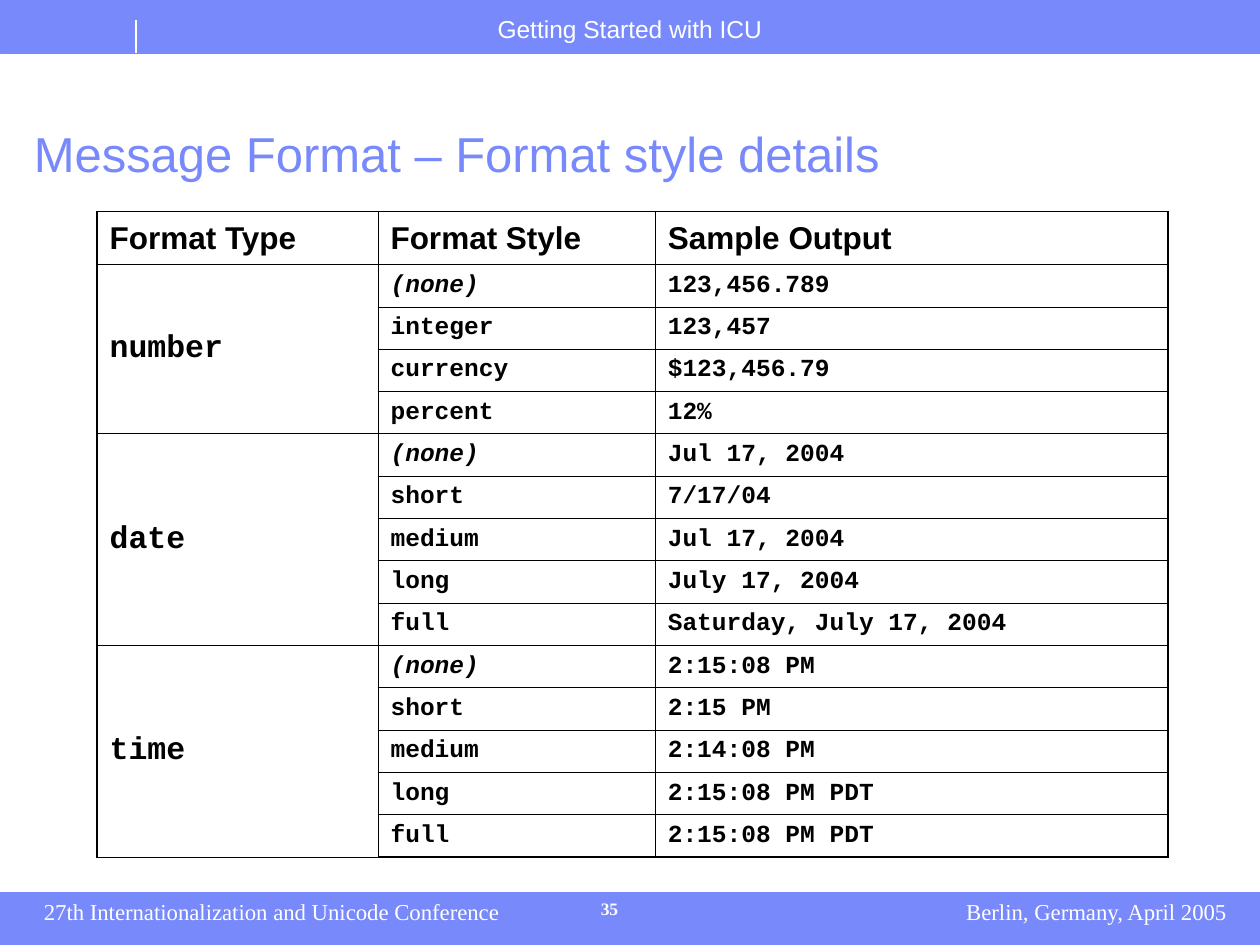
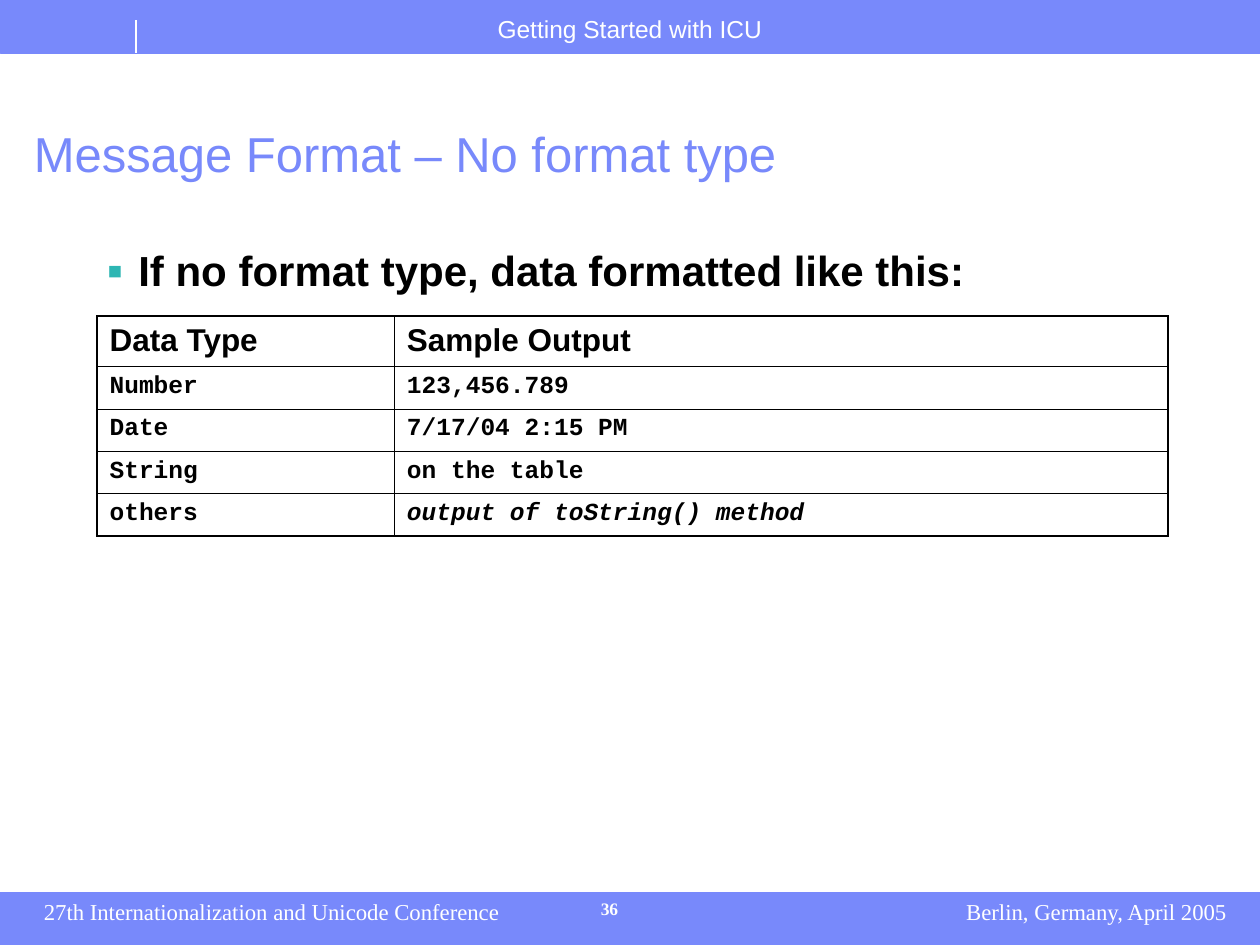
from lxml import etree
from pptx import Presentation, util as u
from pptx.dml.color import RGBColor
from pptx.enum import shapes, text
from pptx.oxml.ns import qn

# Shared style
COLORS = {"band": "7889FB", "title": "7889FB", "light": "FFFFFF",
          "ink": "000000", "bullet": "2DB6B3"}
SANS, SERIF, MONO = "Arial", "Times New Roman", "Courier New"
GRID_COLS, GRID_ROWS = 100, 75
BAND = 4.2
BODY_ROW = 3.36
OUTER, INNER = 0.96, 0.45
LEFT, CENTER, RIGHT = text.PP_ALIGN.LEFT, text.PP_ALIGN.CENTER, text.PP_ALIGN.RIGHT
TOP, MIDDLE, BOTTOM = (text.MSO_ANCHOR.TOP, text.MSO_ANCHOR.MIDDLE,
                       text.MSO_ANCHOR.BOTTOM)


def rgb(name):
    return RGBColor.from_string(COLORS[name])


def write(tf, content, size=14, font=SANS, color="ink", bold=False, italic=False,
          align=LEFT, spacing=None, bullet=None):
    """Put one formatted paragraph into a text frame."""
    p = tf.paragraphs[0]
    if bullet:
        add_bullet(p, bullet)
    p.alignment = align
    if spacing:
        p.line_spacing = spacing
    r = p.add_run()
    r.text = content
    f = r.font
    f.name, f.size, f.bold, f.italic = font, u.Pt(size), bold, italic
    f.color.rgb = rgb(color)


def add_bullet(p, char):
    pPr = p._p.get_or_add_pPr()
    indent = u.Inches(0.25)
    pPr.set("marL", str(indent))
    pPr.set("indent", str(-indent))
    clr = etree.SubElement(pPr, qn("a:buClr"))
    etree.SubElement(clr, qn("a:srgbClr"), val=COLORS["bullet"])
    etree.SubElement(pPr, qn("a:buSzPct"), val="110000")
    etree.SubElement(pPr, qn("a:buFont"), typeface=SANS)
    etree.SubElement(pPr, qn("a:buChar"), char=char)


def set_borders(cell, widths):
    """Draw cell borders; widths maps L, R, T, B (in that order) to points."""
    tcPr = cell._tc.get_or_add_tcPr()
    for side, width in widths.items():
        ln = etree.SubElement(tcPr, qn(f"a:ln{side}"), w=str(u.Pt(width)))
        fill = etree.SubElement(ln, qn("a:solidFill"))
        etree.SubElement(fill, qn("a:srgbClr"), val=COLORS["ink"])


class Deck:
    def __init__(self):
        self.prs = Presentation()
        self.prs.slide_width, self.prs.slide_height = u.Inches(10), u.Inches(7.5)
        self.s = None

    def x(self, cols):
        return round(self.prs.slide_width * cols / GRID_COLS)

    def y(self, rows):
        return round(self.prs.slide_height * rows / GRID_ROWS)

    def box(self, left, top, width, height):
        return self.x(left), self.y(top), self.x(width), self.y(height)

    def band(self, top):
        sp = self.s.shapes.add_shape(shapes.MSO_SHAPE.RECTANGLE,
                                     *self.box(0, top, GRID_COLS, BAND))
        sp.shadow.inherit = False
        sp.fill.solid()
        sp.fill.fore_color.rgb = sp.line.color.rgb = rgb("band")
        sp.line.width = u.Pt(0.25)

    def line(self, x1, y1, x2, y2):
        sp = self.s.shapes.add_connector(shapes.MSO_CONNECTOR.STRAIGHT, self.x(x1),
                                         self.y(y1), self.x(x2), self.y(y2))
        sp.line.color.rgb = rgb("light")
        sp.line.width = u.Pt(0.75)
        etree.SubElement(sp._element.spPr, qn("a:effectLst"))

    def text(self, content, at, anchor=TOP, wrap=True, **fmt):
        tf = self.s.shapes.add_textbox(*self.box(*at)).text_frame
        tf.word_wrap, tf.vertical_anchor = wrap, anchor
        write(tf, content, **fmt)

    def slide(self, title, number):
        """Start a slide with its bands, title and footer."""
        self.s = self.prs.slides.add_slide(self.prs.slide_layouts[6])
        foot = GRID_ROWS - BAND
        self.band(foot)
        self.band(0)
        self.text("Getting Started with ICU", (38.5, 0.6, 23, 3.4), wrap=False,
                  color="light", align=CENTER)
        self.line(10.8, 1.6, 10.8, BAND)
        self.text(title, (1.7, 9.5, 90.2, 5.5), anchor=BOTTOM, size=28,
                  color="title", spacing=0.9)
        footer = dict(font=SERIF, color="light")
        self.text("27th Internationalization and Unicode Conference",
                  (2.5, foot, 45.8, 3.4), size=13, **footer)
        self.text(str(number), (46.7, foot, 11, 3.5), size=10, bold=True, **footer)
        self.text("Berlin, Germany, April 2005", (70.6, foot, 27.7, 3.4),
                  size=13, align=RIGHT, **footer)

    def table(self, top, widths, header_row, rows, groups=(), italics=(), anchor=TOP):
        """Add a table; groups lists (first row, row count) merged in column one."""
        heights = [header_row] + [BODY_ROW] * (len(rows) - 1)
        frame = self.s.shapes.add_table(len(rows), len(widths), *self.box(
            7.7, top, sum(widths), sum(heights)))
        tbl = frame.table
        tbl.first_row = tbl.horz_banding = False
        for col, width in zip(tbl.columns, widths):
            col.width = self.x(width)
        for row, height in zip(tbl.rows, heights):
            row.height = self.y(height)
        last_row, last_col = len(rows) - 1, len(widths) - 1
        for i, row in enumerate(rows):
            for j, content in enumerate(row):
                cell = tbl.cell(i, j)
                edges = {"L": j == 0, "R": j == last_col,
                         "T": i == 0, "B": i == last_row}
                set_borders(cell, {side: OUTER if outer else INNER
                                   for side, outer in edges.items()})
                cell.fill.background()
                cell.vertical_anchor = anchor
                if content:
                    large = i == 0 or (groups and j == 0)
                    write(cell.text_frame, content, bold=True,
                          size=18 if large else 14, font=MONO if i else SANS,
                          italic=content in italics)
        for first, count in groups:
            tbl.cell(first, 0).merge(tbl.cell(first + count - 1, 0))


FORMATS = {
    "number": [("(none)", "123,456.789"), ("integer", "123,457"),
               ("currency", "$123,456.79"), ("percent", "12%")],
    "date": [("(none)", "Jul 17, 2004"), ("short", "7/17/04"),
             ("medium", "Jul 17, 2004"), ("long", "July 17, 2004"),
             ("full", "Saturday, July 17, 2004")],
    "time": [("(none)", "2:15:08 PM"), ("short", "2:15 PM"),
             ("medium", "2:14:08 PM"), ("long", "2:15:08 PM PDT"),
             ("full", "2:15:08 PM PDT")],
}
UNTYPED = [("Data Type", "Sample Output"), ("Number", "123,456.789"),
           ("Date", "7/17/04 2:15 PM"), ("String", "on the table"),
           ("others", "output of toString() method")]


def main():
    deck = Deck()

    # Format styles, grouped by type
    deck.slide("Message Format – Format style details", 35)
    rows, groups = [("Format Type", "Format Style", "Sample Output")], []
    for kind, styles in FORMATS.items():
        groups.append((len(rows), len(styles)))
        rows += [("" if n else kind, *style) for n, style in enumerate(styles)]
    deck.table(16.8, [22.3, 22, 40.7], 4.2, rows, groups,
               italics=["(none)"], anchor=MIDDLE)

    # Output when no format type is given
    deck.slide("Message Format – No format type", 36)
    deck.table(25.1, [23.6, 61.4], 4, UNTYPED, italics=[UNTYPED[-1][1]])
    deck.text("If no format type, data formatted like this:", (7.5, 19.4, 85, 4.8),
              size=24, bold=True, spacing=0.9, bullet="▪")

    deck.prs.save("out.pptx")


if __name__ == "__main__":
    main()
